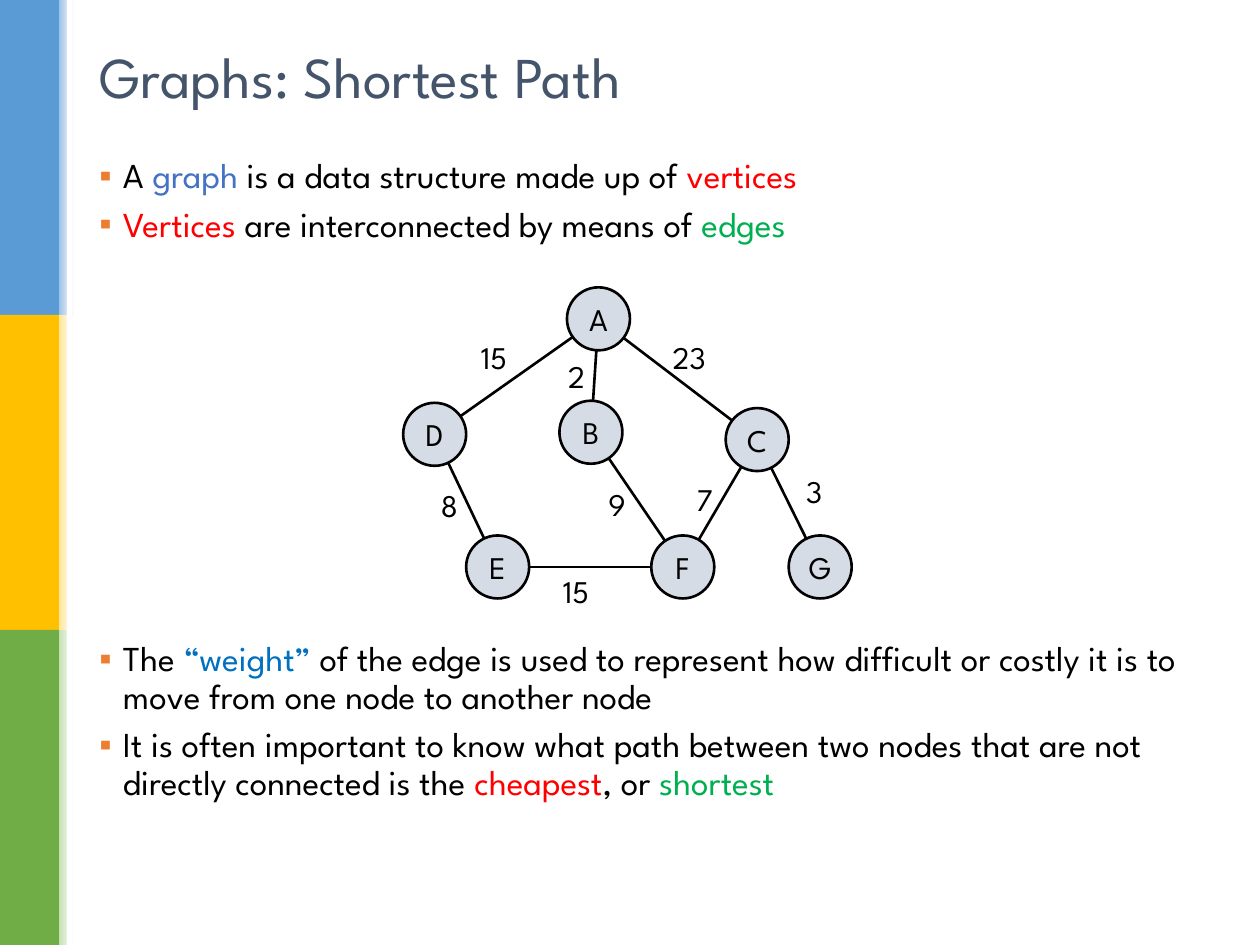
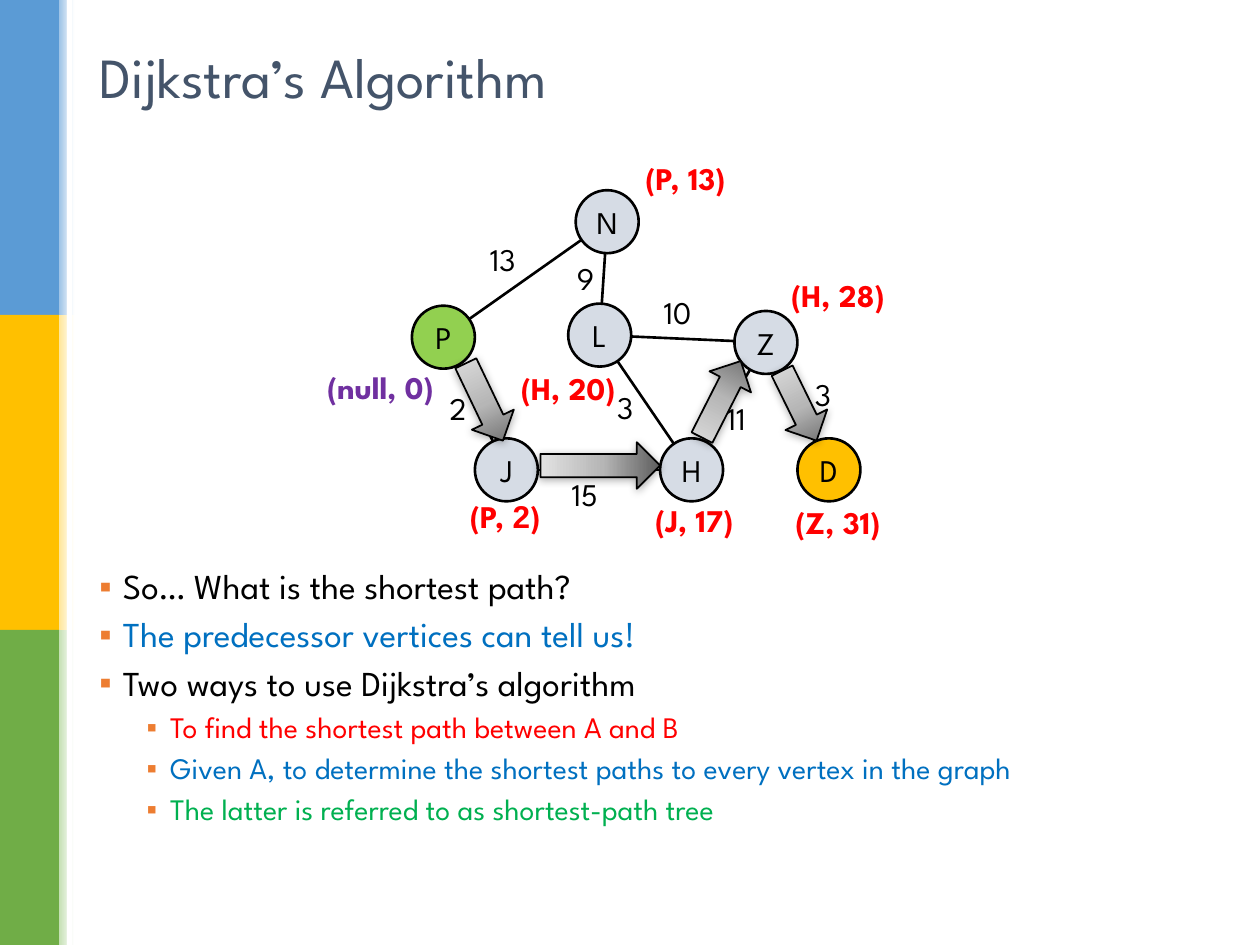
from math import hypot

from lxml import etree
from pptx import Presentation
from pptx.dml.color import RGBColor
from pptx.enum.shapes import MSO_CONNECTOR, MSO_SHAPE
from pptx.enum.text import MSO_ANCHOR, MSO_AUTO_SIZE, PP_ALIGN
from pptx.oxml.ns import qn
from pptx.util import Pt

RECT, OVAL, ARROW = MSO_SHAPE.RECTANGLE, MSO_SHAPE.OVAL, MSO_SHAPE.DOWN_ARROW
STRAIGHT = MSO_CONNECTOR.STRAIGHT
MIDDLE = MSO_ANCHOR.MIDDLE
LEFT, CENTER = PP_ALIGN.LEFT, PP_ALIGN.CENTER
NO_AUTOFIT = MSO_AUTO_SIZE.NONE

FONT = "League Spartan"
BLACK, WHITE, RED, GREEN = "000000", "FFFFFF", "FF0000", "00B050"
BLUE, INDIGO, PURPLE = "0070C0", "4472C4", "7030A0"
SLATE, ORANGE, NODE_FILL = "44546A", "ED7D31", "D6DCE5"
START_FILL, END_FILL = "92D050", "FFC000"
BANDS = [("5B9BD5", "9DC3E6"), ("FFC000", "FFE699"), ("70AD47", "C5E0B4")]
ARROW_STOPS = [(0, "5E5E5E"), (48, "B6B6B6"), (100, "E2E2E2")]

# Both graphs share one layout; positions are relative to the graph's corner
NODE_SIZE = 36
NODES = {
    "top": (93.6, 0), "left": (0, 66), "centre": (89.3, 64.8),
    "right": (184.3, 69), "low left": (36, 141.8),
    "low middle": (141.8, 141.8), "low right": (220.3, 141.8),
}
# Edge: (from, to) -> corner of its weight label
EDGES = {
    ("top", "left"): (37.4, 25.2),
    ("top", "centre"): (87.1, 36),
    ("left", "low left"): (14.4, 110.2),
    ("low left", "low middle"): (84.2, 159),
    ("centre", "low middle"): (110.2, 109.4),
    ("right", "low right"): (223.2, 102.2),
}


def color(value):
    return RGBColor.from_string(value)


def add_run(p, text, size, value=BLACK, bold=False, font=FONT):
    r = p.add_run()
    r.text = text
    r.font.name = font
    r.font.size = Pt(size)
    r.font.bold = bold
    r.font.color.rgb = color(value)


def add_box(s, x, y, w, h, wrap=True):
    tf = s.shapes.add_textbox(Pt(x), Pt(y), Pt(w), Pt(h)).text_frame
    tf.word_wrap = wrap
    return tf


def add_shape(s, kind, x, y, w, h, fill=None, line=None, weight=1.5):
    sp = s.shapes.add_shape(kind, Pt(x), Pt(y), Pt(w), Pt(h))
    sp.shadow.inherit = False
    if fill:
        sp.fill.solid()
        sp.fill.fore_color.rgb = color(fill)
    if line:
        sp.line.color.rgb = color(line)
        sp.line.width = Pt(weight)
    else:
        sp.line.fill.background()
    return sp


def set_gradient(sp, stops, angle):
    sp.fill.gradient()
    sp.fill.gradient_angle = angle
    gs_list = sp._element.spPr.find(qn("a:gradFill")).find(qn("a:gsLst"))
    for gs in list(gs_list):
        gs_list.remove(gs)
    for pos, value in stops:
        gs = etree.SubElement(gs_list, qn("a:gs"), pos=str(pos * 1000))
        etree.SubElement(gs, qn("a:srgbClr"), val=value)


def add_shadow(sp):
    effects = sp._element.spPr.find(qn("a:effectLst"))
    outer = etree.SubElement(effects, qn("a:outerShdw"), blurRad=str(Pt(5)),
                             dist=str(Pt(1)), dir="5400000", rotWithShape="0")
    clr = etree.SubElement(outer, qn("a:srgbClr"), val=BLACK)
    etree.SubElement(clr, qn("a:alpha"), val="32000")


# Side bands and title
def add_side_bands(s, height=540):
    band_h = height / len(BANDS)
    for i, (strong, pale) in enumerate(BANDS):
        add_shape(s, RECT, 0, i * band_h, 33.8, band_h, strong)
        fade = add_shape(s, RECT, 33.8, i * band_h, 8.6, band_h)
        set_gradient(fade, [(0, pale), (100, WHITE)], 0)
    add_shape(s, RECT, 38.2, 0, 2.9, height, WHITE)


def add_titled_slide(prs, title, size):
    s = prs.slides.add_slide(prs.slide_layouts[5])
    add_side_bands(s)
    sp = s.shapes.title
    sp.left, sp.top, sp.width, sp.height = Pt(49.7), Pt(18.7), Pt(620.6), Pt(49)
    tf = sp.text_frame
    tf.auto_size = NO_AUTOFIT
    tf.vertical_anchor = MIDDLE
    p = tf.paragraphs[0]
    p.alignment = LEFT
    add_run(p, title, size, SLATE)
    return s


# Bulleted text: items are (level, [(text, colour), ...])
def add_bullets(s, y, h, items):
    tf = add_box(s, 49.7, y, 642.2, h)
    for i, (level, runs) in enumerate(items):
        p = tf.paragraphs[0] if i == 0 else tf.add_paragraph()
        size = 17 if level else 20
        p.level = level
        p.line_spacing = 0.9
        p.space_before = Pt(size * 0.3)
        pPr = p._p.get_or_add_pPr()
        pPr.set("marL", str(Pt(13.5 + 27 * level)))
        pPr.set("indent", str(Pt(-13.5)))
        bu_clr = etree.SubElement(pPr, qn("a:buClr"))
        etree.SubElement(bu_clr, qn("a:srgbClr"), val=ORANGE)
        etree.SubElement(pPr, qn("a:buFont"), typeface="Arial")
        etree.SubElement(pPr, qn("a:buChar"), char="▪")
        for text, value in runs:
            add_run(p, text, size, value)


# Weighted graph
def add_edge(s, x, y, start, end):
    r = NODE_SIZE / 2
    (x1, y1), (x2, y2) = NODES[start], NODES[end]
    length = hypot(x2 - x1, y2 - y1)
    dx, dy = (x2 - x1) * r / length, (y2 - y1) * r / length
    line = s.shapes.add_connector(
        STRAIGHT, Pt(x + r + x1 + dx), Pt(y + r + y1 + dy),
        Pt(x + r + x2 - dx), Pt(y + r + y2 - dy))
    line.line.color.rgb = color(BLACK)
    line.line.width = Pt(1.5)
    etree.SubElement(line._element.spPr, qn("a:effectLst"))


def add_graph(s, x, y, names, weights, extra_edges, fills):
    edges = {**EDGES, **extra_edges}
    for start, end in edges:
        add_edge(s, x, y, start, end)
    for (place, (nx, ny)), name in zip(NODES.items(), names):
        node = add_shape(s, OVAL, x + nx, y + ny, NODE_SIZE, NODE_SIZE,
                         fills.get(place, NODE_FILL), BLACK)
        tf = node.text_frame
        tf.word_wrap = False
        tf.vertical_anchor = MIDDLE
        tf.paragraphs[0].alignment = CENTER
        add_run(tf.paragraphs[0], name, 18)
    for corner, weight in zip(edges.values(), weights):
        if corner:
            tf = add_box(s, x + corner[0], y + corner[1],
                         14.4 + 10 * len(weight), 28.8, wrap=False)
            add_run(tf.paragraphs[0], weight, 18)


def add_distances(s, x, y, distances):
    for dx, dy, w, value, runs in distances:
        p = add_box(s, x + dx, y + dy, w, 27.4).paragraphs[0]
        p.alignment = CENTER
        for text, font in runs:
            add_run(p, text, 18, value, True, font)


def add_path_arrows(s, x, y, arrows, w=26.6):
    for cx, cy, length, rotation in arrows:
        sp = add_shape(s, ARROW, x + cx - w / 2, y + cy - length / 2,
                       w, length, line=BLACK, weight=1)
        sp.rotation = rotation
        set_gradient(sp, ARROW_STOPS, 90)
        add_shadow(sp)


def build_shortest_path(prs):
    s = add_titled_slide(prs, "Graphs: Shortest Path", 33)
    add_bullets(s, 87.1, 64, [
        (0, [("A ", BLACK), ("graph ", INDIGO),
             ("is a data structure made up of ", BLACK), ("vertices", RED)]),
        (0, [("Vertices", RED), (" are interconnected by means of ", BLACK),
             ("edges", GREEN)]),
    ])
    add_graph(s, 230.4, 164.2, "ADBCEFG",
              ["15", "2", "8", "15", "9", "3", "23", "7"],
              {("top", "right"): (146.9, 25.2),
               ("right", "low middle"): (160.6, 106.6)}, {})
    add_bullets(s, 363, 110, [
        (0, [("The ", BLACK), ("“weight” ", BLUE),
             ("of the edge is used to represent how difficult or costly it is "
              "to move from one node to another node", BLACK)]),
        (0, [("It is often important to know what path between two nodes that "
              "are not directly connected is the ", BLACK),
             ("cheapest", RED), (", or ", BLACK), ("shortest", GREEN)]),
    ])


def build_dijkstra(prs):
    s = add_titled_slide(prs, "Dijkstra’s Algorithm", 32.4)
    x, y = 235.4, 108.7
    add_graph(s, x, y, "NPLZJHD",
              ["13", "9", "2", "15", "3", "3", "10", "11"],
              {("centre", "right"): (136.8, 55.4),
               ("right", "low middle"): (172.8, 115.9)},
              {"left": START_FILL, "low right": END_FILL})
    add_distances(s, x, y, [
        (-58.3, 97.9, 80.6, PURPLE, [("(null, 0)", FONT)]),
        (7.2, 172, 92.2, RED, [("(P, ", FONT), ("2", "Arial"), (")", FONT)]),
        (110.2, -21.6, 92.2, RED, [("(P, 13)", FONT)]),
        (115.2, 174.2, 92.2, RED, [("(J, 17)", FONT)]),
        (43.2, 98.6, 92.2, RED, [("(H, 20)", FONT)]),
        (197.3, 45.4, 92.2, RED, [("(H, 28)", FONT)]),
        (197.3, 175, 92.2, RED, [("(Z, 31)", FONT)]),
    ])
    add_path_arrows(s, x, y, [
        (221.4, 123.1, 44.6, 333.8), (176.8, 119.5, 49, 206.9),
        (107.6, 157.3, 68.4, 270), (41.4, 121, 49, 334.4),
    ])
    add_bullets(s, 321.8, 209.5, [
        (0, [("So… What is the shortest path?", BLACK)]),
        (0, [("The predecessor vertices can tell us!", BLUE)]),
        (0, [("Two ways to use Dijkstra’s algorithm", BLACK)]),
        (1, [("To find the shortest path between A and B", RED)]),
        (1, [("Given A, to determine the shortest paths to every vertex in "
              "the graph", BLUE)]),
        (1, [("The latter is referred to as shortest-path tree", GREEN)]),
    ])


def main():
    prs = Presentation()
    prs.slide_width, prs.slide_height = Pt(720), Pt(540)
    build_shortest_path(prs)
    build_dijkstra(prs)
    prs.save("out.pptx")


if __name__ == "__main__":
    main()
